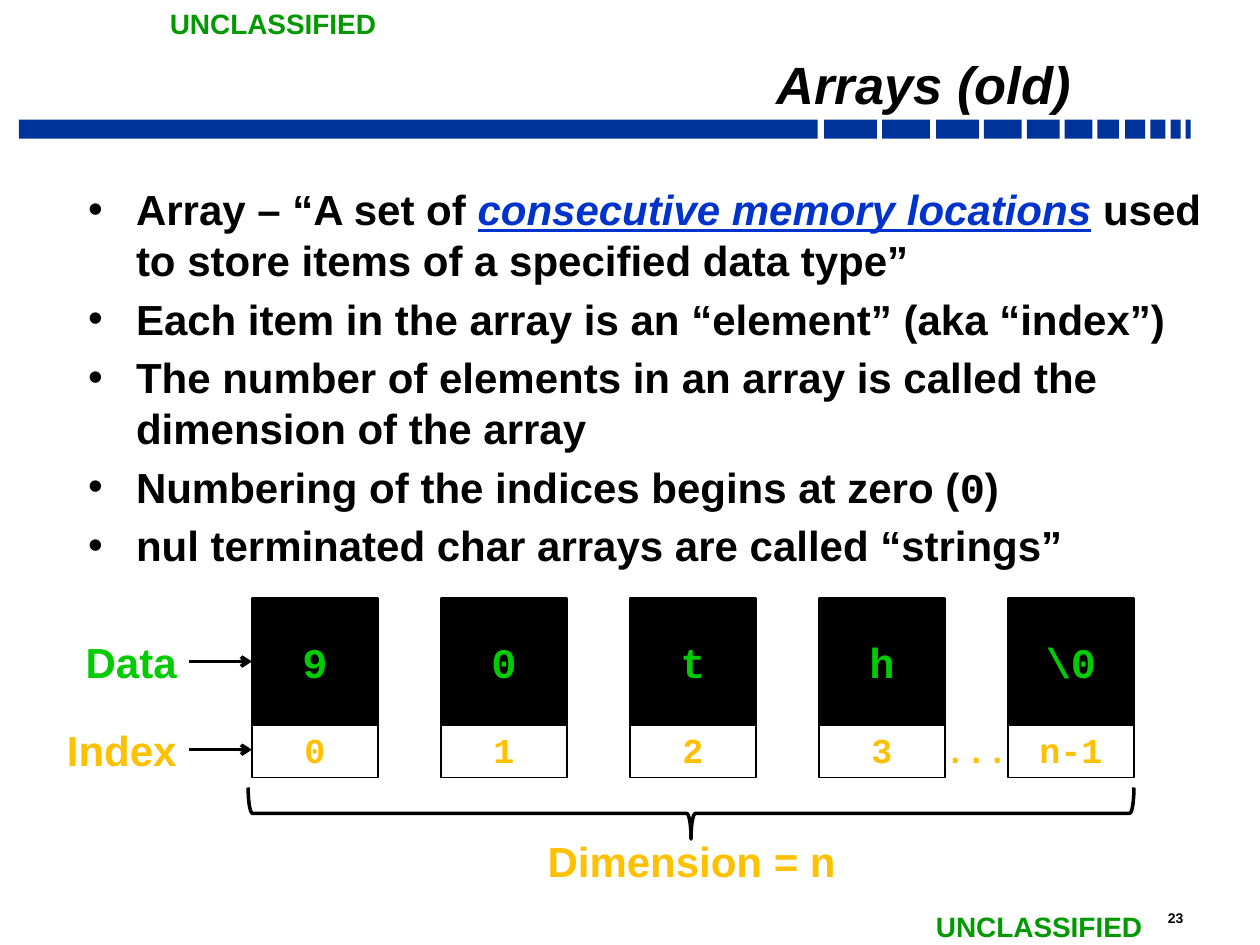
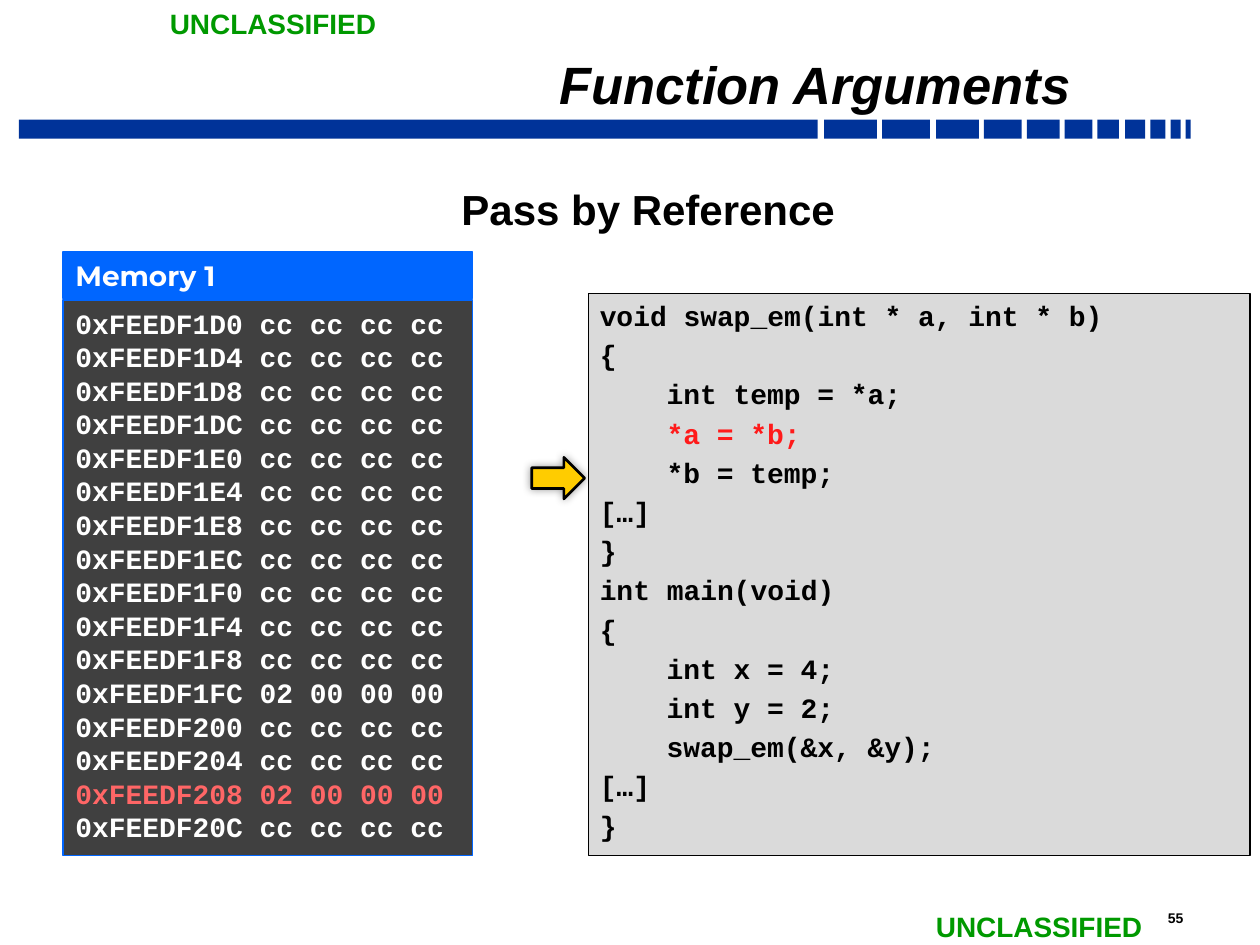
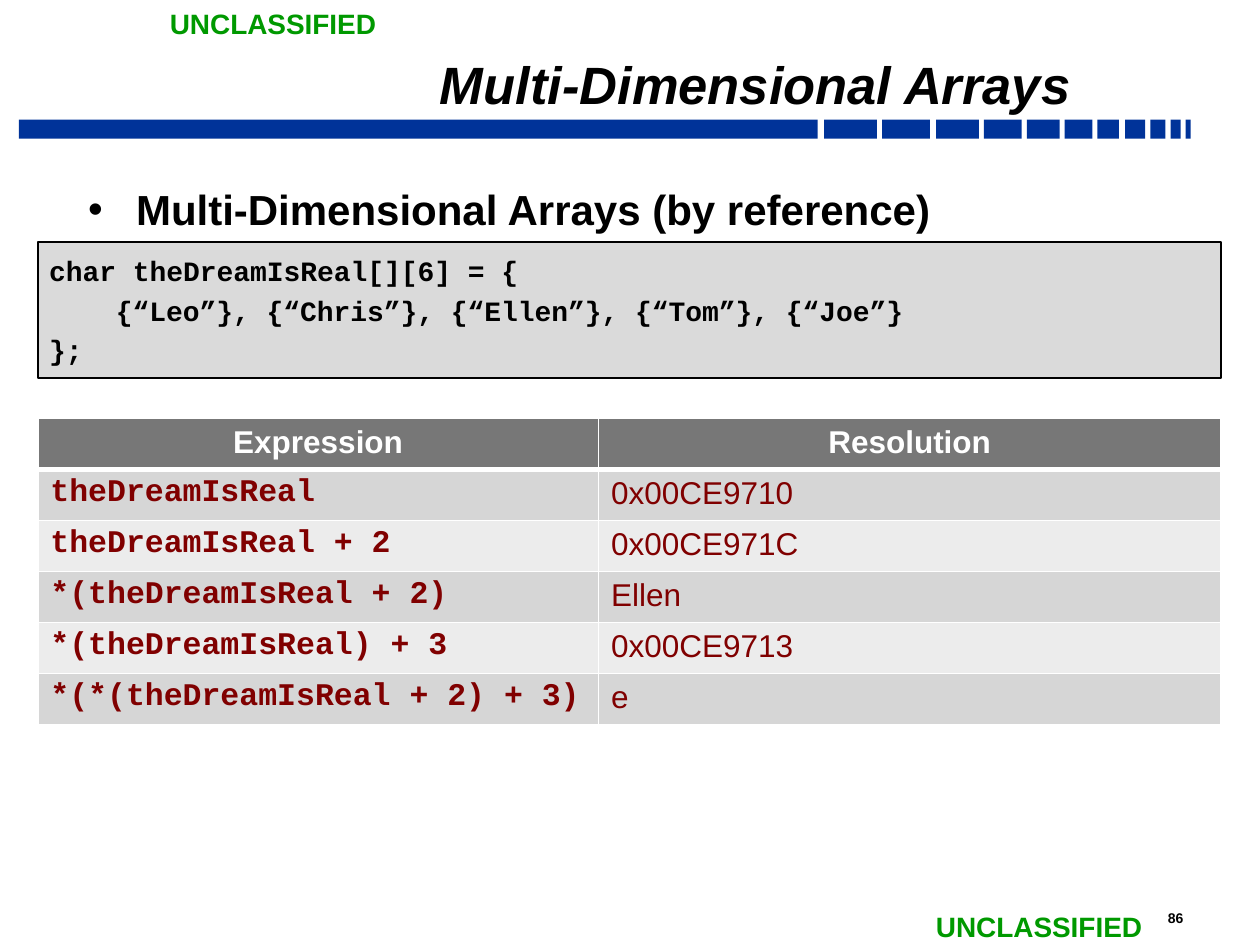
from dataclasses import dataclass, replace
from typing import NamedTuple, Optional

from lxml.etree import SubElement
from pptx import Presentation
from pptx.dml.color import RGBColor
from pptx.enum.shapes import MSO_CONNECTOR, MSO_SHAPE
from pptx.enum.text import MSO_ANCHOR, PP_ALIGN
from pptx.oxml.ns import qn
from pptx.util import Pt

EMU_PER_PX = 9144  # 100 px to the inch
SANS, MONO, DISPLAY = "Arial", "Courier New", "Montserrat"
COLORS = {
    "black": "000000", "white": "FFFFFF", "bar": "003399", "marking": "009900",
    "term": "0033CC", "data": "00CC00", "index": "FFC000", "memory": "0066FF",
    "panel": "404040", "changed": "FF6666", "current": "FF1A1A", "pointer": "FFCC00",
    "code": "DADADA", "header": "777777", "odd": "D6D6D6", "even": "ECECEC",
    "cell": "800000",
}


class Box(NamedTuple):
    left: int
    top: int
    width: int
    height: int


class Span(NamedTuple):
    left: int
    width: int


class Run(NamedTuple):
    text: str
    font: Optional[str] = None
    color: Optional[str] = None
    emphasis: bool = False


class Line(NamedTuple):
    runs: tuple[Run, ...]
    level: int = 0
    color: Optional[str] = None


@dataclass(frozen=True)
class Style:
    size: int
    color: str = "black"
    font: str = SANS
    bold: bool = True
    italic: bool = False
    align: PP_ALIGN = PP_ALIGN.LEFT
    anchor: MSO_ANCHOR = MSO_ANCHOR.TOP
    line_spacing: Optional[float] = None
    space_before: float = 0
    bullet: bool = False
    margins: tuple[int, int] = (10, 5)
    wrap: bool = True


BAR_SPANS = [
    Span(15, 634), Span(654, 42), Span(700, 38), Span(743, 34), Span(781, 30),
    Span(815, 26), Span(845, 22), Span(871, 17), Span(893, 16), Span(913, 12),
    Span(929, 8), Span(941, 4),
]
BAR_TOP, BAR_HEIGHT = 95, 15
MARKING_BOXES = [Box(125, 0, 186, 37), Box(733, 717, 186, 37)]
PAGE_NUMBER_BOX = Box(917, 717, 54, 23)
TITLE_BOX = Box(167, 35, 692, 59)
BODY_BOX = Box(61, 142, 907, 517)
BULLET_INDENT = 38
CODE_INDENT = 53

TITLE = Style(30, italic=True, align=PP_ALIGN.RIGHT, anchor=MSO_ANCHOR.BOTTOM,
              line_spacing=0.7, margins=(9, 4))
BODY = Style(24, space_before=4.8, bullet=True, margins=(9, 4))
SUBTITLE = replace(BODY, bullet=False, align=PP_ALIGN.CENTER)
CODE = Style(16, font=MONO, space_before=3.2, margins=(9, 4))
MARKING = Style(16, "marking", wrap=False)
PAGE_NUMBER = Style(8)
DATA_CELL = Style(24, "data", MONO, align=PP_ALIGN.CENTER, anchor=MSO_ANCHOR.MIDDLE)
INDEX_CELL = replace(DATA_CELL, size=20, color="index")
DATA_LABEL = replace(DATA_CELL, font=SANS, align=PP_ALIGN.RIGHT)
INDEX_LABEL = replace(DATA_LABEL, color="index")
DIMENSION_LABEL = replace(INDEX_LABEL, align=PP_ALIGN.CENTER)
MEMORY_TITLE = Style(16, "white", DISPLAY, anchor=MSO_ANCHOR.MIDDLE)
MEMORY_DUMP = Style(16, "white", MONO)
TABLE_HEADER = Style(18, "white", align=PP_ALIGN.CENTER)
EXPRESSION = Style(18, "cell", MONO)
RESOLUTION = Style(18, "cell", bold=False)


def px(length: int) -> int:
    return length * EMU_PER_PX


def emu(box: Box) -> list[int]:
    return [px(length) for length in box]


def rgb(name: str) -> RGBColor:
    return RGBColor.from_string(COLORS[name])


def line_of(text: str, level: int = 0, color: Optional[str] = None) -> Line:
    return Line((Run(text),), level, color)


def set_indent(paragraph, left: int, bullet: bool) -> None:
    properties = paragraph._p.get_or_add_pPr()
    properties.set("marL", str(px(left)))
    if bullet:
        properties.set("indent", str(-px(left)))
        SubElement(properties, qn("a:buFont"), typeface=SANS)
        SubElement(properties, qn("a:buChar"), char="•")


def write_paragraph(paragraph, line: Line, style: Style) -> None:
    paragraph.alignment = style.align
    paragraph.space_before = Pt(style.space_before)
    if style.line_spacing:
        paragraph.line_spacing = style.line_spacing
    if style.bullet:
        set_indent(paragraph, BULLET_INDENT, True)
    elif line.level:
        set_indent(paragraph, CODE_INDENT * line.level, False)
    font = paragraph.font
    font.size, font.bold, font.italic = Pt(style.size), style.bold, style.italic
    font.name = style.font
    font.color.rgb = rgb(line.color or style.color)
    for part in line.runs:
        run = paragraph.add_run()
        run.text = part.text
        if part.font:
            run.font.name = part.font
        if part.color:
            run.font.color.rgb = rgb(part.color)
        if part.emphasis:
            run.font.italic = run.font.underline = True


def write_text(shape, lines: list[Line], style: Style) -> None:
    frame = shape.text_frame
    frame.word_wrap = style.wrap
    frame.vertical_anchor = style.anchor
    frame.margin_left = frame.margin_right = px(style.margins[0])
    frame.margin_top = frame.margin_bottom = px(style.margins[1])
    for number, line in enumerate(lines):
        paragraph = frame.add_paragraph() if number else frame.paragraphs[0]
        write_paragraph(paragraph, line, style)


def add_text(slide, box: Box, lines: list[Line], style: Style):
    shape = slide.shapes.add_textbox(*emu(box))
    write_text(shape, lines, style)
    return shape


def add_figure(slide, box: Box, fill: Optional[str] = None, outline: Optional[str] = None,
               weight: float = 1, kind: MSO_SHAPE = MSO_SHAPE.RECTANGLE):
    shape = slide.shapes.add_shape(kind, *emu(box))
    shape.shadow.inherit = False
    if fill:
        shape.fill.solid()
        shape.fill.fore_color.rgb = rgb(fill)
    else:
        shape.fill.background()
    if outline:
        shape.line.color.rgb = rgb(outline)
        shape.line.width = Pt(weight)
    else:
        shape.line.fill.background()
    return shape


def add_arrow(slide, source, target) -> None:
    """Join the right side of source to the left side of target."""
    connector = slide.shapes.add_connector(MSO_CONNECTOR.STRAIGHT, 0, 0, 0, 0)
    connector.begin_connect(source, 3)
    connector.end_connect(target, 1)
    connector.line.color.rgb = rgb("black")
    connector.line.width = Pt(2)
    SubElement(connector.line._get_or_add_ln(), qn("a:tailEnd"), type="arrow")
    SubElement(connector._element.spPr, qn("a:effectLst"))


def add_glow_shadow(shape) -> None:
    """Spread a soft black shadow evenly around the shape."""
    effects = shape._element.spPr.find(qn("a:effectLst"))
    shadow = SubElement(effects, qn("a:outerShdw"), blurRad=str(Pt(5)), dist="0", dir="0")
    color = SubElement(shadow, qn("a:srgbClr"), val=COLORS["black"])
    SubElement(color, qn("a:alpha"), val="40000")


def set_cell_borders(cell, bottom: float) -> None:
    properties = cell._tc.get_or_add_tcPr()
    weights = {"a:lnL": 1, "a:lnR": 1, "a:lnT": 1, "a:lnB": bottom}
    for position, (tag, weight) in enumerate(weights.items()):
        border = SubElement(properties, qn(tag), w=str(Pt(weight)))
        fill = SubElement(border, qn("a:solidFill"))
        SubElement(fill, qn("a:srgbClr"), val=COLORS["white"])
        properties.insert(position, border)


def add_base_slide(presentation, title: str, page: int):
    slide = presentation.slides.add_slide(presentation.slide_layouts[6])
    for span in BAR_SPANS:
        add_figure(slide, Box(span.left, BAR_TOP, span.width, BAR_HEIGHT), "bar")
    for box in MARKING_BOXES:
        add_text(slide, box, [line_of("UNCLASSIFIED")], MARKING)
    add_text(slide, PAGE_NUMBER_BOX, [line_of(str(page))], PAGE_NUMBER)
    add_text(slide, TITLE_BOX, [line_of(title)], TITLE)
    return slide


def add_code(slide, box: Box, lines: list[Line], style: Style) -> None:
    write_text(add_figure(slide, box, "code", "black"), lines, style)


def build_arrays(presentation) -> None:
    slide = add_base_slide(presentation, "Arrays (old)", 23)
    add_text(slide, BODY_BOX, [
        Line((Run("Array – “A set of "),
              Run("consecutive memory locations", color="term", emphasis=True),
              Run(" used to store items of a specified data type”"))),
        line_of("Each item in the array is an “element” (aka “index”)"),
        line_of("The number of elements in an array is called the dimension of the array"),
        Line((Run("Numbering of the indices begins at zero ("), Run("0", MONO), Run(")"))),
        line_of("nul terminated char arrays are called “strings”"),
    ], BODY)

    elements = [("9", "0"), ("0", "1"), ("t", "2"), ("h", "3"), ("\\0", "n-1")]
    data_cells, index_cells = [], []
    for column, (data, index) in enumerate(elements):
        left = 200 + 150 * column
        data_cell = add_figure(slide, Box(left, 475, 100, 100), "black", "black", 1.5)
        write_text(data_cell, [line_of(data)], DATA_CELL)
        data_cells.append(data_cell)
        index_cell = add_figure(slide, Box(left, 573, 100, 44), None, "black", 0.75)
        write_text(index_cell, [line_of(index)], INDEX_CELL)
        index_cells.append(index_cell)

    data_label = add_text(slide, Box(50, 500, 100, 50), [line_of("Data")], DATA_LABEL)
    index_label = add_text(slide, Box(0, 570, 150, 50), [line_of("Index")], INDEX_LABEL)
    add_arrow(slide, data_label, data_cells[0])
    add_arrow(slide, index_label, index_cells[0])
    add_text(slide, Box(725, 573, 100, 44), [line_of("...")], INDEX_CELL)
    brace = add_figure(slide, Box(528, 294, 41, 703), None, "black", 2, MSO_SHAPE.LEFT_BRACE)
    brace.rotation = 270
    add_text(slide, Box(406, 658, 286, 50), [line_of("Dimension = n")], DIMENSION_LABEL)


def memory_lines() -> list[Line]:
    first, changed = 0xFEEDF1D0, 0xFEEDF208
    values = {0xFEEDF1FC: "02 00 00 00", changed: "02 00 00 00"}
    return [
        line_of(f"0x{address:X} {values.get(address, 'cc cc cc cc')}",
                color="changed" if address == changed else None)
        for address in range(first, first + 16 * 4, 4)
    ]


def build_function_arguments(presentation) -> None:
    slide = add_base_slide(presentation, "Function Arguments", 55)
    add_text(slide, BODY_BOX, [line_of("Pass by Reference")], SUBTITLE)
    header = add_figure(slide, Box(50, 200, 325, 37), "memory", "memory", 0.75)
    write_text(header, [line_of("Memory 1")], MEMORY_TITLE)
    panel = add_figure(slide, Box(50, 238, 325, 441), "panel", "memory", 0.75)
    write_text(panel, memory_lines(), MEMORY_DUMP)
    pointer = add_figure(slide, Box(422, 363, 42, 33), "pointer", "black", 1.5,
                         MSO_SHAPE.RIGHT_ARROW)
    add_glow_shadow(pointer)
    add_code(slide, Box(467, 233, 525, 446), [
        line_of("void swap_em(int * a, int * b)"),
        line_of("{"),
        line_of("int temp = *a;", 1),
        line_of("*a = *b;", 1, "current"),
        line_of("*b = temp;", 1),
        line_of("[…]"),
        line_of("}"),
        line_of("int main(void)"),
        line_of("{"),
        line_of("int x = 4;", 1),
        line_of("int y = 2;", 1),
        line_of("swap_em(&x, &y);", 1),
        line_of("[…]"),
        line_of("}"),
    ], CODE)


def build_multi_dimensional(presentation) -> None:
    slide = add_base_slide(presentation, "Multi-Dimensional Arrays", 86)
    add_text(slide, BODY_BOX, [line_of("Multi-Dimensional Arrays (by reference)")], BODY)
    add_code(slide, Box(30, 192, 939, 108), [
        line_of("char theDreamIsReal[][6] = {"),
        line_of("{“Leo”}, {“Chris”}, {“Ellen”}, {“Tom”}, {“Joe”}", 1),
        line_of("};"),
    ], replace(CODE, anchor=MSO_ANCHOR.MIDDLE))

    rows = [
        ("Expression", "Resolution"),
        ("theDreamIsReal", "0x00CE9710"),
        ("theDreamIsReal + 2", "0x00CE971C"),
        ("*(theDreamIsReal + 2)", "Ellen"),
        ("*(theDreamIsReal) + 3", "0x00CE9713"),
        ("*(*(theDreamIsReal + 2) + 3)", "e"),
    ]
    table = slide.shapes.add_table(len(rows), 2, *emu(Box(30, 332, 939, 243))).table
    for column, width in zip(table.columns, (445, 494)):
        column.width = px(width)
    for row_number, texts in enumerate(rows):
        is_header = row_number == 0
        fill = "header" if is_header else ("even", "odd")[row_number % 2]
        styles = (TABLE_HEADER, TABLE_HEADER) if is_header else (EXPRESSION, RESOLUTION)
        for column_number, (text, style) in enumerate(zip(texts, styles)):
            cell = table.cell(row_number, column_number)
            cell.fill.solid()
            cell.fill.fore_color.rgb = rgb(fill)
            set_cell_borders(cell, 3 if is_header else 1)
            write_paragraph(cell.text_frame.paragraphs[0], line_of(text), style)


def main() -> None:
    presentation = Presentation()
    presentation.slide_width, presentation.slide_height = px(1000), px(750)
    build_arrays(presentation)
    build_function_arguments(presentation)
    build_multi_dimensional(presentation)
    presentation.save("out.pptx")


if __name__ == "__main__":
    main()
